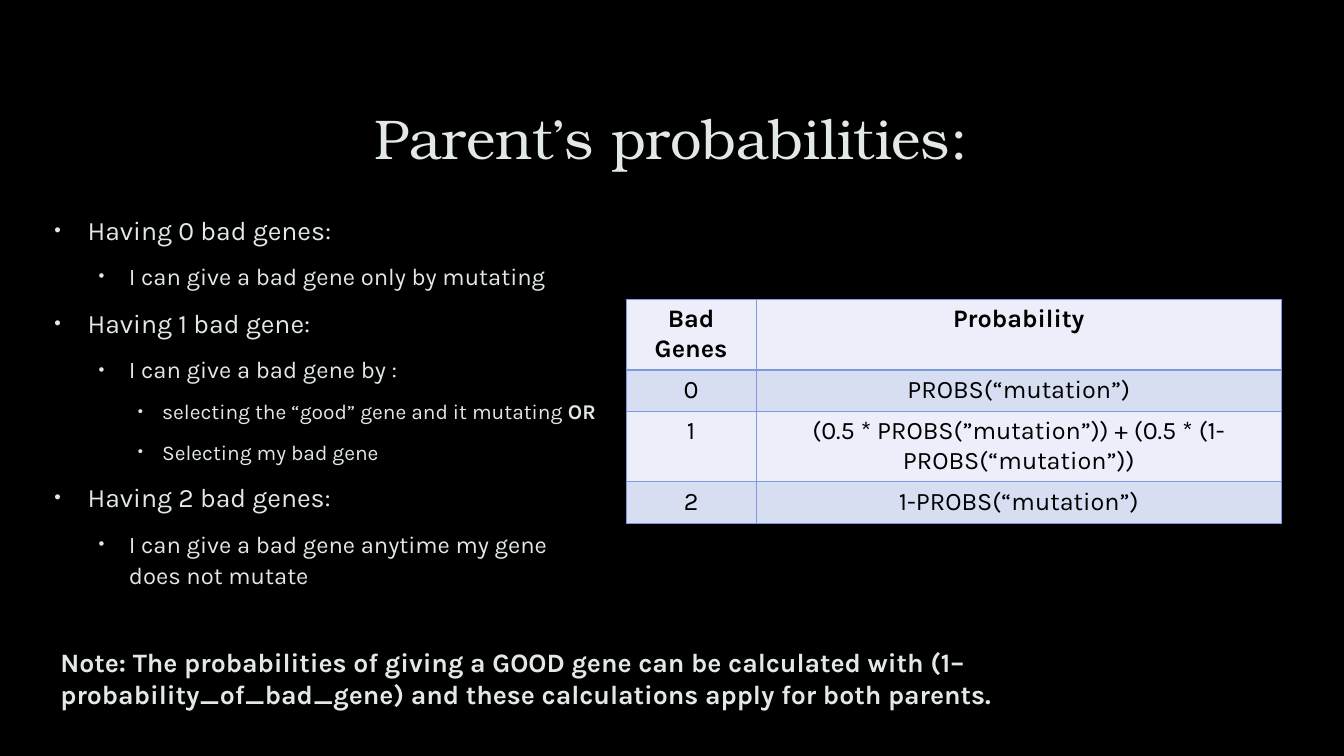
from lxml import etree
from pptx import Presentation
from pptx.dml.color import RGBColor
from pptx.enum import text
from pptx.oxml import ns
from pptx.util import Inches, Pt

BLACK = RGBColor(0x00, 0x00, 0x00)
PALE = RGBColor(0xE2, 0xE8, 0xE4)
BAND_LIGHT = RGBColor(0xEC, 0xEF, 0xF9)
BAND_DARK = RGBColor(0xD8, 0xDE, 0xF2)
BORDER = RGBColor(0x7E, 0x99, 0xDE)

TITLE_FONT, BODY_FONT = "TeX Gyre Bonum", "Karla"

# Per level: text size, left margin, first-line indent
LEVELS = [(19, 0.38, -0.33), (17, 0.79, -0.3), (15, 1.12, -0.24)]

# Each item: level, then plain text, then an optional bold ending
CASES = [
    (0, "Having 0 bad genes:", ""),
    (1, "I can give a bad gene only by mutating", ""),
    (0, "Having 1 bad gene:", ""),
    (1, "I can give a bad gene by :", ""),
    (2, "selecting the “good” gene and it mutating ", "OR"),
    (2, "Selecting my bad gene", ""),
    (0, "Having 2 bad genes:", ""),
    (1, "I can give a bad gene anytime my gene does not mutate", ""),
]
PROBABILITIES = [
    ("Bad Genes", "Probability"),
    ("0", "PROBS(“mutation”)"),
    ("1", "(0.5 * PROBS(”mutation”)) + (0.5 * (1-PROBS(“mutation”))"),
    ("2", "1-PROBS(“mutation”)"),
]
COLUMN_WIDTHS = [1.29, 5.21]
ROW_HEIGHTS = [0.68, 0.41, 0.68, 0.41]
NOTE = ("Note: The probabilities of giving a GOOD gene can be calculated with "
        "(1– probability_of_bad_gene) and these calculations apply for both parents.")


def add_xml(parent, tag, **attrs):
    el = etree.SubElement(parent, ns.qn(tag))
    for name, value in attrs.items():
        el.set(name, str(value))
    return el


def add_run(p, content, size, font=BODY_FONT, color=PALE, bold=False):
    r = p.add_run()
    r.text = content
    r.font.size = Pt(size)
    r.font.name = font
    r.font.bold = bold
    r.font.color.rgb = color
    return r


def add_text_frame(slide, box, anchor=text.MSO_ANCHOR.TOP):
    tf = slide.shapes.add_textbox(*map(Inches, box)).text_frame
    tf.word_wrap = True
    tf.vertical_anchor = anchor
    return tf


def space_paragraph(p, left, indent=0, line=None):
    """Set indents and spacing; the space before is 20% of the line."""
    pPr = p._p.get_or_add_pPr()
    pPr.set("marL", str(Inches(left)))
    pPr.set("indent", str(Inches(indent)))
    if line:
        p.line_spacing = line
    add_xml(add_xml(pPr, "a:spcBef"), "a:spcPct", val=20000)
    p.space_after = Pt(6)
    return pPr


def add_title(slide, box):
    p = add_text_frame(slide, box, text.MSO_ANCHOR.MIDDLE).paragraphs[0]
    p.alignment = text.PP_ALIGN.CENTER
    add_run(p, "Parent’s probabilities:", 40, font=TITLE_FONT)


def add_cases(slide, box):
    tf = add_text_frame(slide, box)
    for i, (level, plain, strong) in enumerate(CASES):
        p = tf.add_paragraph() if i else tf.paragraphs[0]
        size, left, indent = LEVELS[level]
        p.level = level
        pPr = space_paragraph(p, left, indent, line=1.1)
        # Bullet
        add_xml(add_xml(pPr, "a:buClr"), "a:srgbClr", val=PALE)
        add_xml(pPr, "a:buSzPct", val=70000)
        add_xml(pPr, "a:buFont", typeface="Arial")
        add_xml(pPr, "a:buChar", char="•")
        add_run(p, plain, size)
        if strong:
            add_run(p, strong, size, bold=True)


def add_borders(cell):
    tcPr = cell._tc.get_or_add_tcPr()
    for i, side in enumerate(("a:lnL", "a:lnR", "a:lnT", "a:lnB")):
        ln = add_xml(tcPr, side, w=Pt(1))
        add_xml(add_xml(ln, "a:solidFill"), "a:srgbClr", val=BORDER)
        tcPr.insert(i, ln)  # borders come before the fill


def add_probability_table(slide, box):
    table = slide.shapes.add_table(
        len(PROBABILITIES), len(COLUMN_WIDTHS), *map(Inches, box)).table
    for column, width in zip(table.columns, COLUMN_WIDTHS):
        column.width = Inches(width)
    for i, (height, values) in enumerate(zip(ROW_HEIGHTS, PROBABILITIES)):
        table.rows[i].height = Inches(height)
        for j, value in enumerate(values):
            cell = table.cell(i, j)
            cell.fill.solid()
            cell.fill.fore_color.rgb = BAND_DARK if i % 2 else BAND_LIGHT
            add_borders(cell)
            p = cell.text_frame.paragraphs[0]
            p.alignment = text.PP_ALIGN.CENTER
            add_run(p, value, 18, color=BLACK, bold=i == 0)


def add_note(slide, box):
    p = add_text_frame(slide, box).paragraphs[0]
    space_paragraph(p, 0.04)
    add_run(p, NOTE, 19, bold=True)


def main():
    prs = Presentation()
    prs.slide_width, prs.slide_height = Inches(13.33), Inches(7.5)
    slide = prs.slides.add_slide(prs.slide_layouts[6])
    slide.background.fill.solid()
    slide.background.fill.fore_color.rgb = BLACK

    add_title(slide, (1, 0.67, 11.32, 1.38))
    add_cases(slide, (0.39, 2.04, 5.67, 4.32))
    add_probability_table(slide, (6.21, 2.97, sum(COLUMN_WIDTHS), sum(ROW_HEIGHTS)))
    add_note(slide, (0.46, 6.36, 12.41, 0.77))
    prs.save("out.pptx")


if __name__ == "__main__":
    main()
